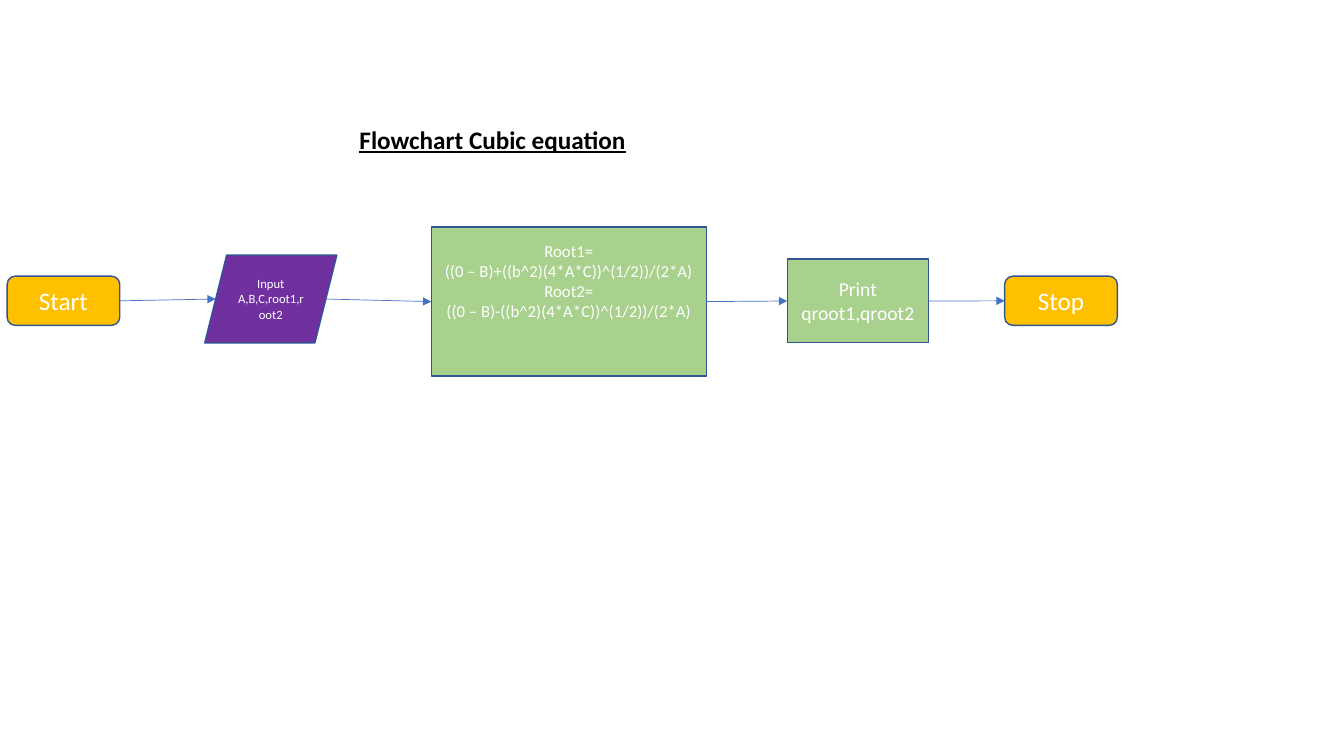
import dataclasses
import pptx
import pptx.util
import pptx.dml.color
import pptx.enum.shapes
import pptx.enum.text
import pptx.oxml
import pptx.oxml.ns

Cm = pptx.util.Cm
Pt = pptx.util.Pt
Kind = pptx.enum.shapes.MSO_SHAPE
Align = pptx.enum.text.PP_ALIGN


@dataclasses.dataclass(frozen=True)
class Theme:
    font: str = "Calibri"
    gold: str = "FFC000"
    purple: str = "7030A0"
    green: str = "A9D18E"
    edge: str = "325491"
    arrow: str = "4472C4"
    white: str = "FFFFFF"
    black: str = "000000"
    large: int = 18
    medium: int = 14
    small: int = 12
    tiny: int = 9


theme = Theme()


def color(code):
    return pptx.dml.color.RGBColor.from_string(code)


def apply(target, values):
    for name, value in values.items():
        setattr(target, name, value)


def write(frame, lines, size, ink, align, **style):
    for index, line in enumerate(lines):
        para = frame.paragraphs[0] if index == 0 else frame.add_paragraph()
        para.alignment = align
        run = para.add_run()
        run.text = line
        apply(run.font, {"name": theme.font, "size": Pt(size), **style})
        run.font.color.rgb = color(ink)


def add_title(slide, text):
    box = slide.shapes.add_textbox(Cm(8.81), Cm(3), Cm(7.67), Cm(1.02))
    frame = box.text_frame
    frame.word_wrap = True
    write(frame, [text], theme.large, theme.black, Align.LEFT,
          bold=True, underline=True)


def add_step(slide, kind, place, fill, size, lines, bottom=0.13):
    step = slide.shapes.add_shape(kind, *map(Cm, place))
    step.shadow.inherit = False
    step.fill.solid()
    step.fill.fore_color.rgb = color(fill)
    step.line.color.rgb = color(theme.edge)
    step.line.width = Pt(1)
    frame = step.text_frame
    apply(frame, {
        "word_wrap": True,
        "vertical_anchor": pptx.enum.text.MSO_ANCHOR.MIDDLE,
        "margin_bottom": Cm(bottom),
    })
    write(frame, lines, size, theme.white, Align.CENTER)
    return step


def side_ends(step):
    slant = step.height // 8 if step.auto_shape_type == Kind.PARALLELOGRAM else 0
    middle = step.top + step.height // 2
    return (step.left + slant, middle), (step.left + step.width - slant, middle)


def add_arrow(slide, source, target):
    start, end = side_ends(source)[1], side_ends(target)[0]
    straight = pptx.enum.shapes.MSO_CONNECTOR.STRAIGHT
    arrow = slide.shapes.add_connector(straight, *start, *end)
    arrow.line.color.rgb = color(theme.arrow)
    arrow.line.width = Pt(0.5)
    space = pptx.oxml.ns.nsdecls("a")
    stroke = arrow.line._get_or_add_ln()
    stroke.append(pptx.oxml.parse_xml(f'<a:tailEnd {space} type="triangle"/>'))
    stroke.getparent().append(pptx.oxml.parse_xml(f"<a:effectLst {space}/>"))


def main():
    deck = pptx.Presentation()
    apply(deck, {"slide_width": Cm(33.87), "slide_height": Cm(19.05)})
    slide = deck.slides.add_slide(deck.slide_layouts[6])
    add_title(slide, "Flowchart Cubic equation")

    roots = [
        "Root1=",
        "((0 – B)+((b^2)(4*A*C))^(1/2))/(2*A)",
        "Root2=",
        "((0 – B)-((b^2)(4*A*C))^(1/2))/(2*A)",
    ]
    steps = [
        add_step(slide, Kind.ROUNDED_RECTANGLE, (0.18, 6.96, 2.84, 1.24),
                 theme.gold, theme.large, ["Start"]),
        add_step(slide, Kind.PARALLELOGRAM, (5.16, 6.43, 3.33, 2.21),
                 theme.purple, theme.tiny, ["Input A,B,C,root1,root2"]),
        add_step(slide, Kind.RECTANGLE, (10.87, 5.72, 6.93, 3.76),
                 theme.green, theme.small, roots, bottom=1.16),
        add_step(slide, Kind.RECTANGLE, (19.84, 6.53, 3.56, 2.11),
                 theme.green, theme.medium, ["Print qroot1,qroot2"]),
        add_step(slide, Kind.ROUNDED_RECTANGLE, (25.32, 6.96, 2.84, 1.24),
                 theme.gold, theme.large, ["Stop"]),
    ]
    for source, target in zip(steps, steps[1:]):
        add_arrow(slide, source, target)
    deck.save("out.pptx")


if __name__ == "__main__":
    main()
